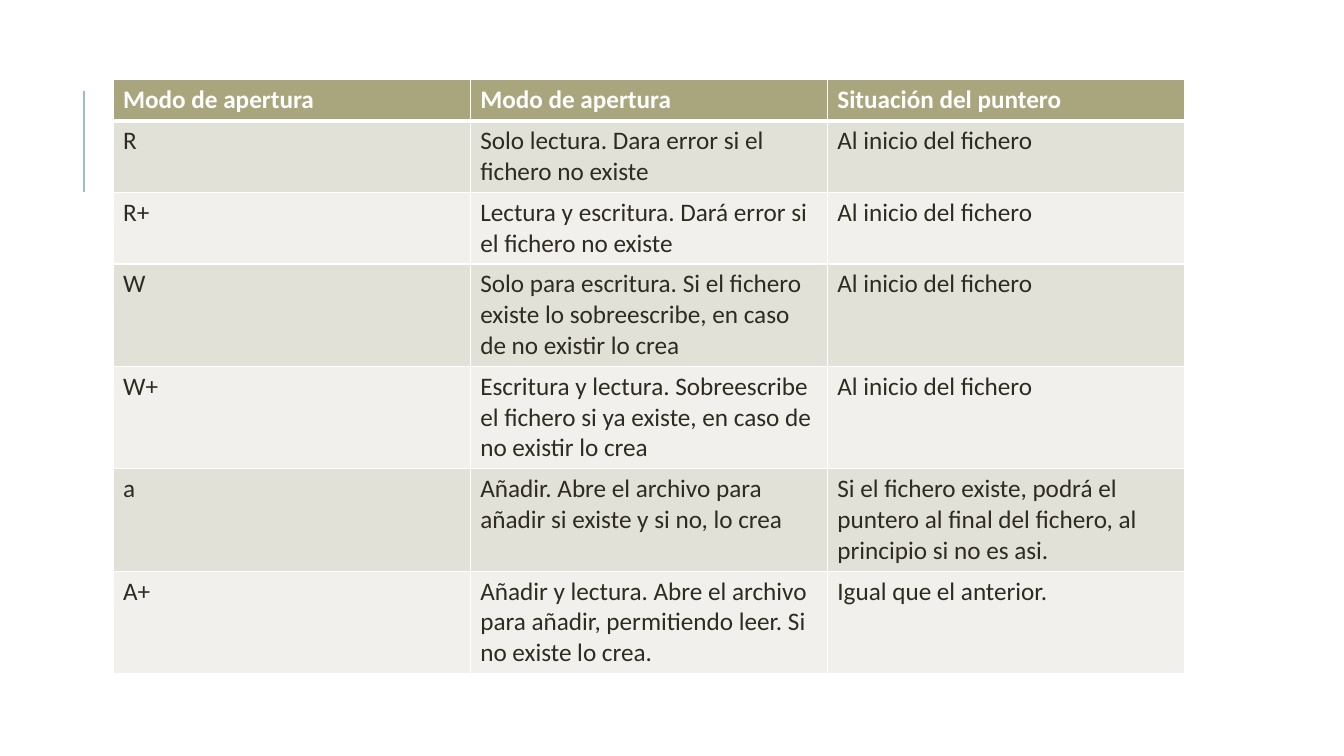
import pptx
import pptx.util
import pptx.dml.color
import pptx.enum.shapes
import pptx.oxml
import pptx.oxml.ns
import lxml.etree

Pt = pptx.util.Pt
RGB = pptx.dml.color.RGBColor.from_string
qn = pptx.oxml.ns.qn

COLORS = {
    "white": "FFFFFF",
    "header": "A9A57C",
    "odd": "E2E1D7",
    "even": "F1F0EC",
    "text": "2E2B21",
    "accent": "9CBEBD",
}


def write(tf, text, color="text", size=18, bold=False, font="Calibri"):
    r = tf.paragraphs[0].add_run()
    r.text = text
    r.font.name = font
    r.font.size = Pt(size)
    r.font.bold = bold
    r.font.color.rgb = RGB(COLORS[color])


def add_border(cell, side, width):
    ln = lxml.etree.SubElement(cell._tc.get_or_add_tcPr(), qn("a:ln" + side), w=str(Pt(width)))
    fill = lxml.etree.SubElement(ln, qn("a:solidFill"))
    lxml.etree.SubElement(fill, qn("a:srgbClr"), val=COLORS["white"])


prs = pptx.Presentation()
prs.slide_width = Pt(960)
prs.slide_height = Pt(540)
s = prs.slides.add_slide(prs.slide_layouts[6])

accent = s.shapes.add_connector(
    pptx.enum.shapes.MSO_CONNECTOR.STRAIGHT, Pt(60), Pt(137), Pt(60), Pt(65))
accent.line.color.rgb = RGB(COLORS["accent"])
accent.line.width = Pt(1.5)
lxml.etree.SubElement(accent._element.spPr, qn("a:effectLst"))

start = "Al inicio del fichero"
rows = [
    ("Modo de apertura", "Modo de apertura", "Situación del puntero"),
    ("R", "Solo lectura. Dara error si el fichero no existe", start),
    ("R+", "Lectura y escritura. Dará error si el fichero no existe", start),
    ("W", "Solo para escritura. Si el fichero existe lo sobreescribe, "
          "en caso de no existir lo crea", start),
    ("W+", "Escritura y lectura. Sobreescribe el fichero si ya existe, "
           "en caso de no existir lo crea", start),
    ("a", "Añadir. Abre el archivo para añadir si existe y si no, lo crea",
     "Si el fichero existe, podrá el puntero al final del fichero, "
     "al principio si no es asi."),
    ("A+", "Añadir y lectura. Abre el archivo para añadir, permitiendo leer. "
           "Si no existe lo crea.", "Igual que el anterior."),
]
heights = [29.2, 51, 51, 73, 73, 73, 73]
col_width = 255.1

table = s.shapes.add_table(
    len(rows), 3, Pt(80.8), Pt(57), Pt(3 * col_width), Pt(sum(heights))).table
for col in table.columns:
    col.width = Pt(col_width)

for i, row in enumerate(rows):
    table.rows[i].height = Pt(heights[i])
    header = i == 0
    fill = "header" if header else "odd" if i % 2 else "even"
    widths = {"L": 1, "R": 1, "T": 3 if i == 1 else 1, "B": 3 if header else 1}
    for j, text in enumerate(row):
        cell = table.cell(i, j)
        for side, width in widths.items():
            add_border(cell, side, width)
        cell.fill.solid()
        cell.fill.fore_color.rgb = RGB(COLORS[fill])
        write(cell.text_frame, text, color="white" if header else "text", bold=header)

prs.save("out.pptx")
